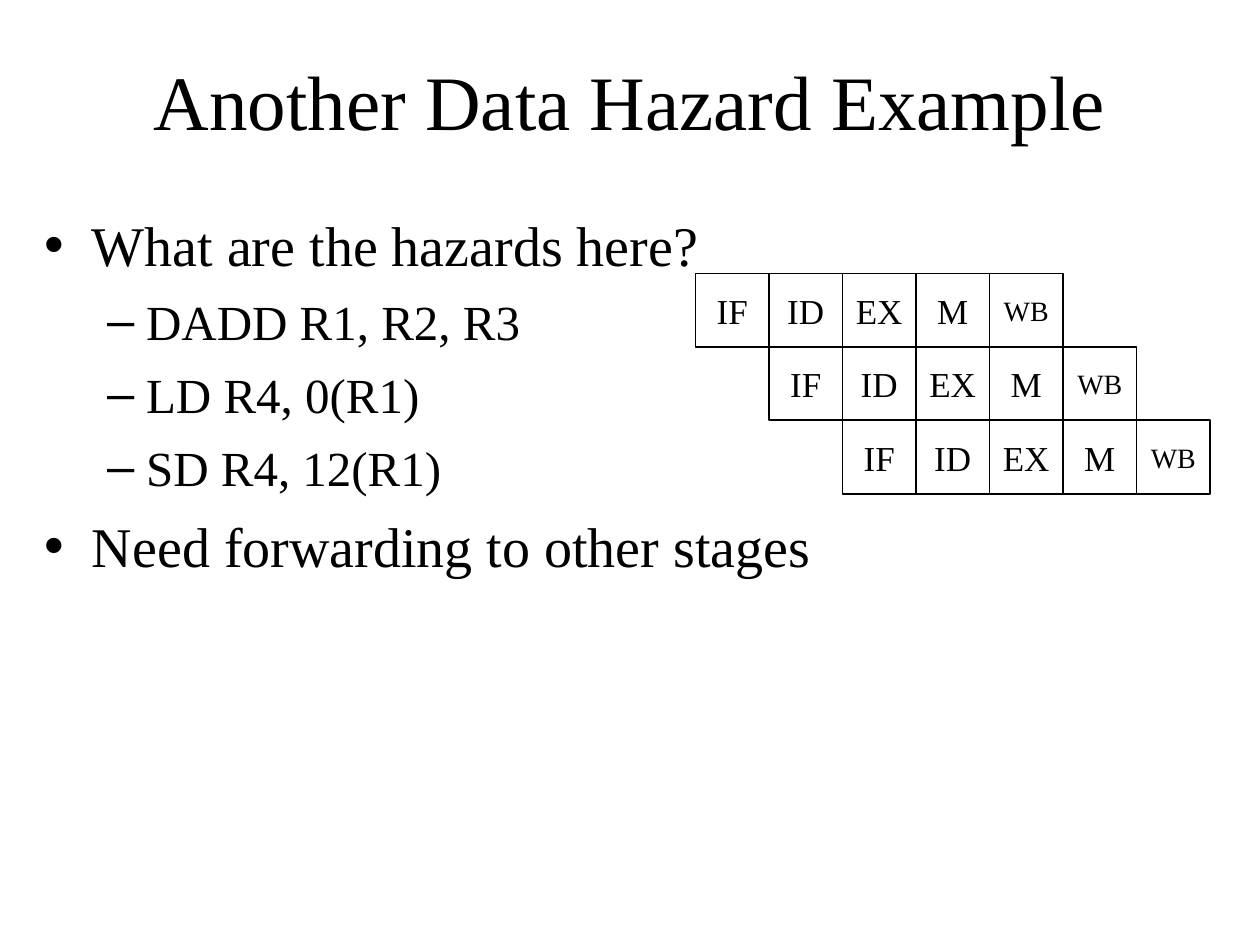
"""Build a slide showing a pipeline data hazard with staggered stages."""
import pptx
import pptx.dml.color
import pptx.enum.shapes
import pptx.enum.text
import pptx.util
from pptx.util import Inches
from lxml import etree

BLACK = pptx.dml.color.RGBColor(0, 0, 0)
FONT = "Times New Roman"
STAGES = ["IF", "ID", "EX", "M", "WB"]
INSTRUCTION_COUNT = 3
STAGE_SIZE = Inches(1.75) // 3
BULLETS = [
    ("What are the hazards here?", 0),
    ("DADD R1, R2, R3", 1),
    ("LD R4, 0(R1)", 1),
    ("SD R4, 12(R1)", 1),
    ("Need forwarding to other stages", 0),
]
LEVELS = [("•", 0.38, 0.38, 32, 9), ("–", 0.81, 0.31, 28, 8)]


def add_text(paragraph, text, size):
    run = paragraph.add_run()
    run.text = text
    run.font.name = FONT
    run.font.size = pptx.util.Pt(size)
    run.font.color.rgb = BLACK


def set_bullet(paragraph, character, margin, hang):
    properties = paragraph._p.get_or_add_pPr()
    properties.set("marL", str(Inches(margin)))
    properties.set("indent", str(-Inches(hang)))
    bullet = etree.SubElement(properties, pptx.oxml.ns.qn("a:buChar"))
    bullet.set("char", character)


presentation = pptx.Presentation()
presentation.slide_width = Inches(10)
presentation.slide_height = Inches(7.5)
slide = presentation.slides.add_slide(presentation.slide_layouts[1])

title = slide.shapes.title
title.left, title.top = Inches(0.75), Inches(0.17)
title.width, title.height = Inches(8.5), Inches(1.25)
title.text_frame.auto_size = pptx.enum.text.MSO_AUTO_SIZE.NONE
title.text_frame.vertical_anchor = pptx.enum.text.MSO_ANCHOR.MIDDLE
title_paragraph = title.text_frame.paragraphs[0]
title_paragraph.alignment = pptx.enum.text.PP_ALIGN.CENTER
add_text(title_paragraph, "Another Data Hazard Example", 44)

body = slide.placeholders[1]
body.left, body.top = Inches(0.25), Inches(1.58)
body.width, body.height = Inches(9.58), Inches(3.5)
body.text_frame.auto_size = pptx.enum.text.MSO_AUTO_SIZE.NONE
body.text_frame.margin_top = Inches(0.09)
for index, (text, level) in enumerate(BULLETS):
    paragraph = body.text_frame.add_paragraph() if index else body.text_frame.paragraphs[0]
    character, margin, hang, size, space = LEVELS[level]
    paragraph.level = level
    paragraph.space_before = pptx.util.Pt(space if index else 0)
    set_bullet(paragraph, character, margin, hang)
    add_text(paragraph, text, size)

for row in range(INSTRUCTION_COUNT):
    pipeline = slide.shapes.add_group_shape()
    for column, stage in enumerate(STAGES):
        box = pipeline.shapes.add_shape(
            pptx.enum.shapes.MSO_SHAPE.RECTANGLE,
            Inches(5.52) + (row + column) * STAGE_SIZE,
            Inches(2.17) + row * STAGE_SIZE,
            STAGE_SIZE,
            STAGE_SIZE,
        )
        box.shadow.inherit = False
        box.fill.background()
        box.line.color.rgb = BLACK
        box.line.width = pptx.util.Pt(1)
        box.text_frame.word_wrap = False
        box.text_frame.vertical_anchor = pptx.enum.text.MSO_ANCHOR.MIDDLE
        paragraph = box.text_frame.paragraphs[0]
        paragraph.alignment = pptx.enum.text.PP_ALIGN.CENTER
        add_text(paragraph, stage, 16 if stage == "WB" else 20)

presentation.save("out.pptx")
